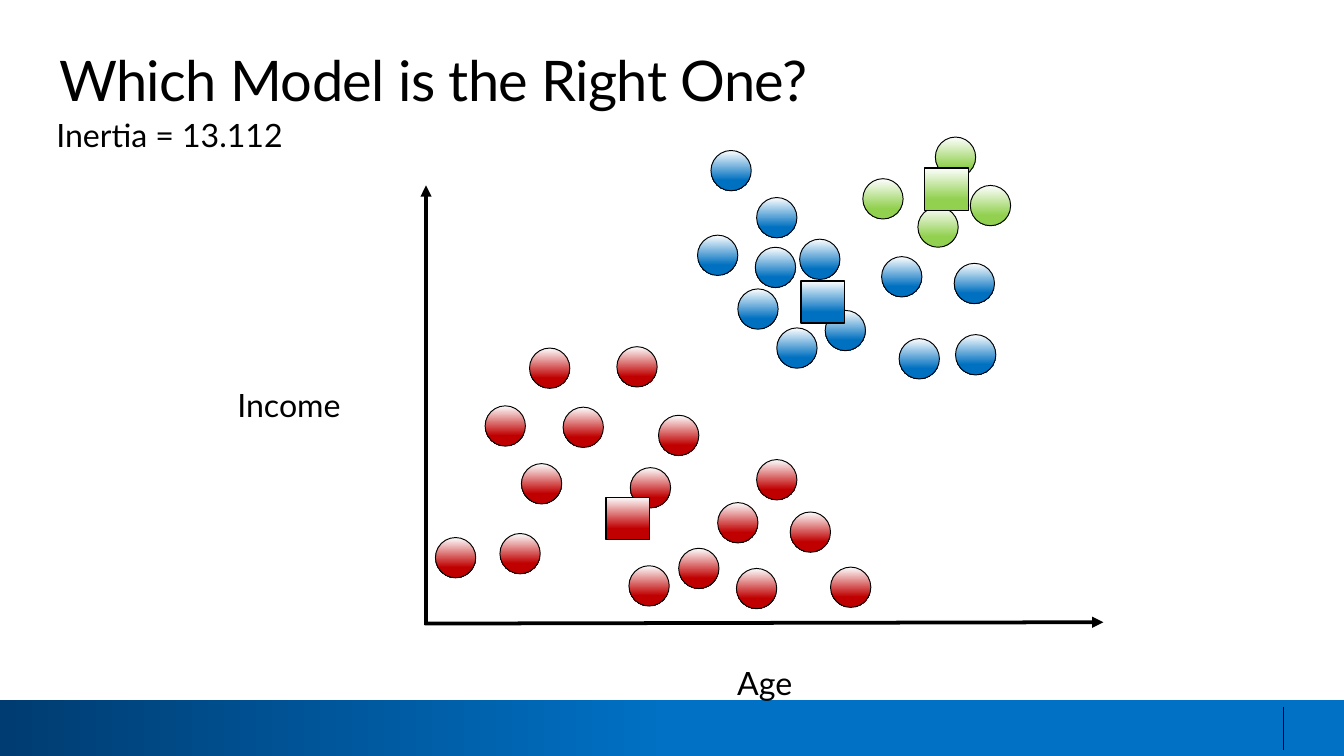
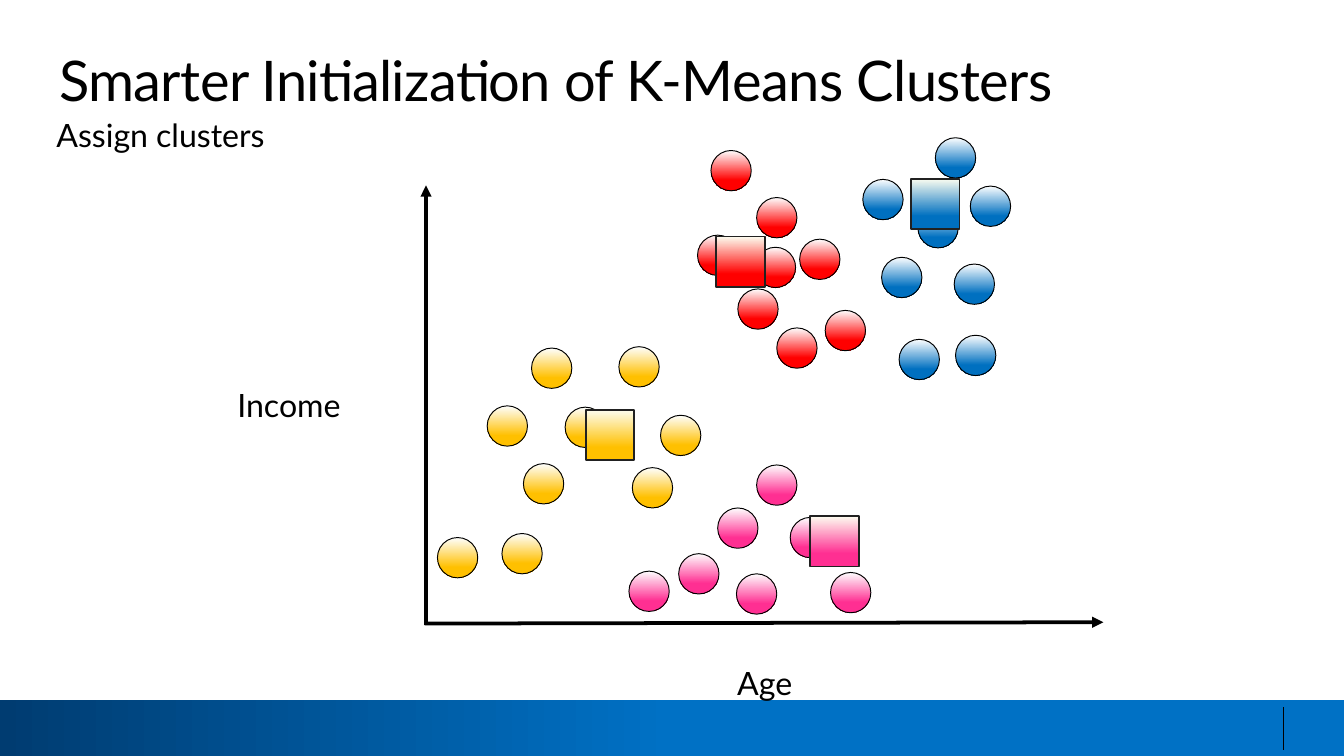
from lxml.etree import SubElement
from pptx import Presentation
from pptx.dml.color import RGBColor
from pptx.enum.shapes import MSO_CONNECTOR, MSO_SHAPE
from pptx.enum.text import MSO_AUTO_SIZE, PP_ALIGN
from pptx.oxml.ns import qn
from pptx.util import Inches, Pt

# The grid has 100 columns; rows are as high as columns are wide
COLUMNS = 100
ROWS = 56.25
DOT_SIZE = 3

COLORS = {
    "black": "000000",
    "charcoal": "212121",
    "white": "FEFFFF",
    "cream": "FDFEF1",
    "navy": "003C71",
    "band": "0071C5",
    "blue": "0070C0",
    "green": "92D050",
    "crimson": "C00000",
    "red": "FF0000",
    "amber": "FFC000",
    "pink": "FF2F92",
}

# Left column and top row of each customer, by region of the plot
REGIONS = {
    "upper middle": [(52.9, 11.2), (51.9, 17.5), (56.3, 14.7), (56.2, 18.4),
                     (54.9, 21.5), (59.5, 17.8), (61.4, 23.1), (57.8, 24.4)],
    "right": [(66.9, 25.2), (71.1, 24.9), (71, 19.6), (65.6, 19.1)],
    "upper right": [(68.3, 15.4), (72.2, 13.8), (69.6, 10.2), (64.2, 13.3)],
    "left": [(32.4, 40), (36.1, 30.2), (39.4, 25.9), (41.9, 30.3), (45.9, 25.8),
             (49, 30.9), (46.9, 34.8), (38.8, 34.5), (37.2, 39.7)],
    "lower middle": [(46.8, 42.1), (50.5, 40.8), (53.4, 37.4), (56.3, 34.2),
                     (58.8, 38.1), (54.8, 42.3), (61.8, 42.2)],
}

SLIDES = [
    {
        "title": "Which Model is the Right One?",
        "subtitle": "Inertia = 13.112",
        "regions": {"upper middle": "blue", "right": "blue", "upper right": "green",
                    "left": "crimson", "lower middle": "crimson"},
        "shifts": {},
        "centroids": {"crimson": (45.1, 37), "blue": (59.6, 20.9), "green": (68.8, 12.5)},
        "centroid_style": {"size": (3.25, 3.15), "top_color": "white",
                           "line_color": "black", "line_width": 0.75},
    },
    {
        "title": "Smarter Initialization of K-Means Clusters",
        "subtitle": "Assign clusters",
        "regions": {"upper middle": "red", "right": "blue", "upper right": "blue",
                    "left": "amber", "lower middle": "pink"},
        "shifts": {"left": (0.15, 0), "lower middle": (0, 0.4),
                   "right": (0, 0.05), "upper right": (0, 0.05)},
        "centroids": {"amber": (43.6, 30.5), "blue": (67.8, 13.3),
                      "red": (53.3, 17.6), "pink": (60.3, 38.4)},
        "centroid_style": {"size": (3.6, 3.75), "top_color": "cream",
                           "line_color": "charcoal", "line_width": 1},
    },
]


class Deck:
    """Holds the style and the slide being drawn."""

    font_name = "Lato"

    def __init__(self):
        self.presentation = Presentation()
        self.presentation.slide_width = Inches(10)
        self.cell = self.presentation.slide_width / COLUMNS
        self.presentation.slide_height = self.grid(ROWS)
        self.slide = None

    def grid(self, count):
        return round(count * self.cell)

    def color(self, name):
        return RGBColor.from_string(COLORS[name])

    def shape(self, kind, left, top, width, height, gradient, stop, angle,
              line_color=None, line_width=0):
        shape = self.slide.shapes.add_shape(kind, *map(self.grid, (left, top, width, height)))
        shape.shadow.inherit = False
        shape.fill.gradient()
        shape.fill.gradient_angle = angle
        for gradient_stop, name, position in zip(shape.fill.gradient_stops, gradient, (0, stop)):
            gradient_stop.color.rgb = self.color(name)
            gradient_stop.position = position
        if line_color:
            shape.line.color.rgb = self.color(line_color)
            shape.line.width = Pt(line_width)
        else:
            shape.line.fill.background()

    def line(self, start, end, width, arrow=False):
        connector = self.slide.shapes.add_connector(
            MSO_CONNECTOR.STRAIGHT, *map(self.grid, (*start, *end)))
        connector.line.color.rgb = self.color("black")
        connector.line.width = Pt(width)
        properties = connector._element.spPr
        if arrow:
            SubElement(properties.find(qn("a:ln")), qn("a:tailEnd"), type="triangle")
        SubElement(properties, qn("a:effectLst"))

    def text(self, text, left, top, width, height, size=17.2, align=PP_ALIGN.LEFT,
             line_spacing=None, tracking=None):
        box = self.slide.shapes.add_textbox(*map(self.grid, (left, top, width, height)))
        frame = box.text_frame
        frame.word_wrap = True
        frame.auto_size = MSO_AUTO_SIZE.SHAPE_TO_FIT_TEXT
        frame.margin_left = frame.margin_right = frame.margin_top = frame.margin_bottom = 0
        frame.text = text
        paragraph = frame.paragraphs[0]
        paragraph.alignment = align
        if line_spacing:
            paragraph.line_spacing = Pt(line_spacing)
        run = paragraph.runs[0]
        run.font.name = self.font_name
        run.font.size = Pt(size)
        run.font.color.rgb = self.color("black")
        if tracking:
            run._r.get_or_add_rPr().set("spc", str(round(tracking * 100)))

    def new_slide(self, title, subtitle):
        self.slide = self.presentation.slides.add_slide(self.presentation.slide_layouts[6])
        # Footer band
        self.shape(MSO_SHAPE.RECTANGLE, 0, 52.1, COLUMNS, ROWS - 52.1,
                   ("navy", "band"), stop=0.5, angle=0)
        self.line((95.5, 52.6), (95.5, 55.8), width=0.75)
        # Headings
        self.text(title, 4.4, 3.4, 92.3, 5, size=30, tracking=-0.3)
        self.text(subtitle, 4.2, 8.6, 50, 2.9)

    def axes(self):
        for label, box in (("Age", (38.8, 48.3, 36.2, 3.8)),
                           ("Income", (16.2, 27.6, 10.6, 3.8))):
            self.text(label, *box, align=PP_ALIGN.CENTER, line_spacing=28.5)
        self.line((31.7, 46.5), (31.7, 13.8), width=2, arrow=True)
        self.line((31.6, 46.4), (82.1, 46.3), width=2, arrow=True)

    def dots(self, positions, color, shift):
        for left, top in positions:
            self.shape(MSO_SHAPE.OVAL, left + shift[0], top + shift[1], DOT_SIZE, DOT_SIZE,
                       ("white", color), stop=0.74, angle=270,
                       line_color="black", line_width=0.5)

    def centroid(self, color, position, size, top_color, line_color, line_width):
        self.shape(MSO_SHAPE.RECTANGLE, *position, *size, (top_color, color),
                   stop=0.74, angle=270, line_color=line_color, line_width=line_width)


def main():
    deck = Deck()
    for content in SLIDES:
        deck.new_slide(content["title"], content["subtitle"])
        deck.axes()
        # Customers, then the centroids on top of them
        for region, color in content["regions"].items():
            deck.dots(REGIONS[region], color, content["shifts"].get(region, (0, 0)))
        for color, position in content["centroids"].items():
            deck.centroid(color, position, **content["centroid_style"])
    deck.presentation.save("out.pptx")


if __name__ == "__main__":
    main()
